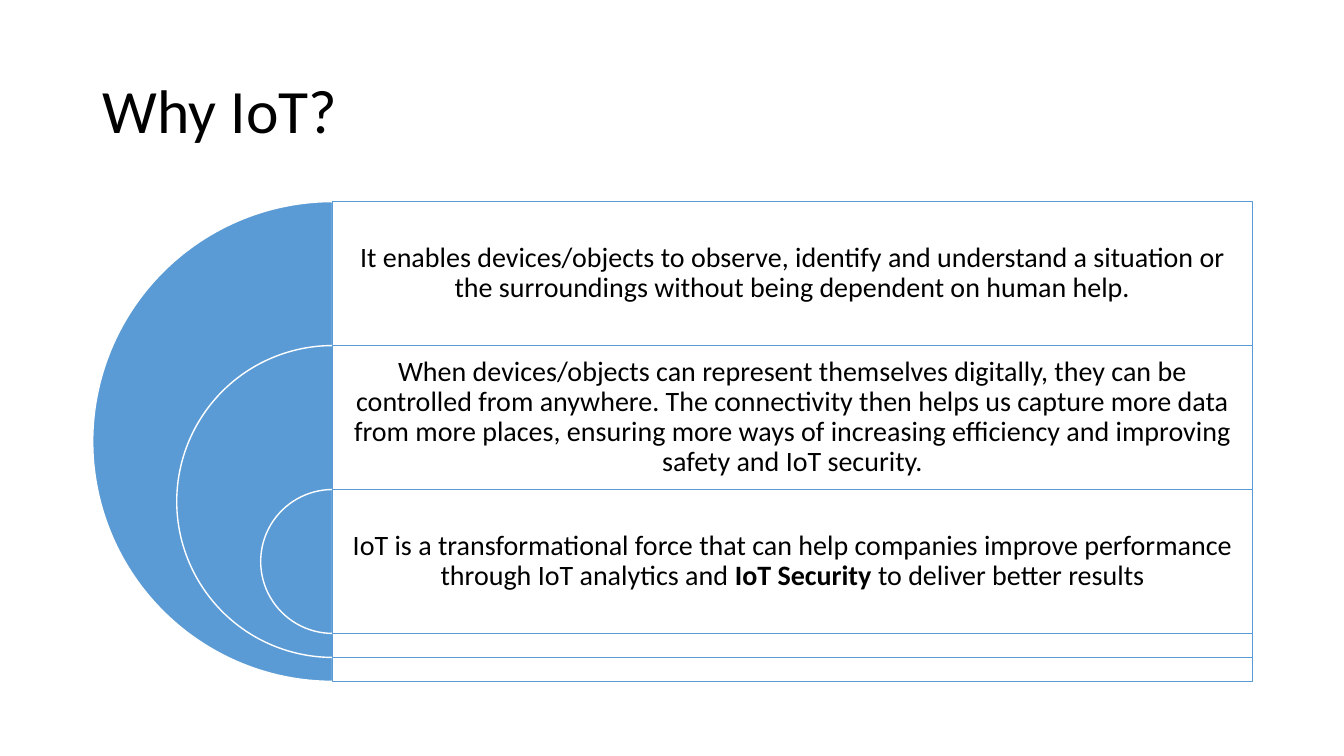
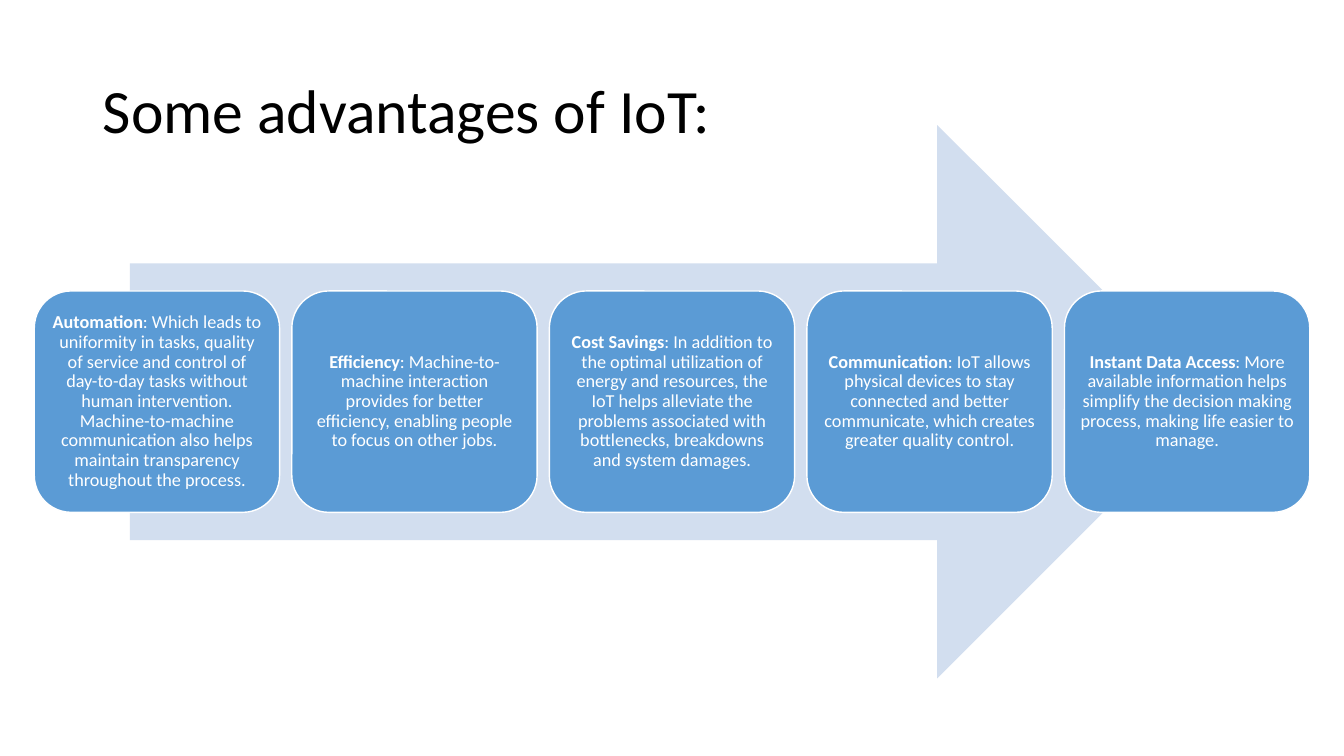
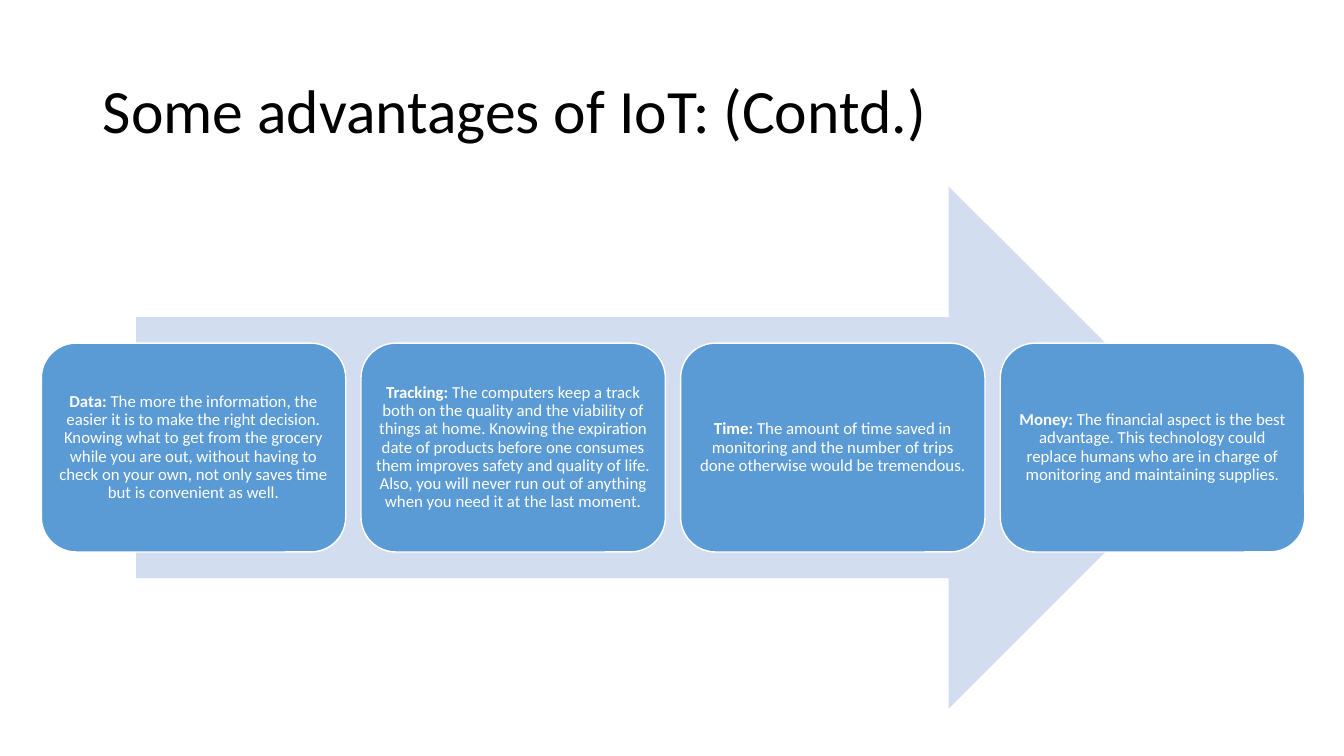
from lxml.etree import SubElement
from pptx import Presentation
from pptx.dml.color import RGBColor
from pptx.enum.shapes import MSO_SHAPE
from pptx.enum.text import MSO_ANCHOR, MSO_AUTO_SIZE, PP_ALIGN
from pptx.oxml.ns import qn
from pptx.util import Inches, Pt

COLORS = {"accent": "5B9BD5", "arrow": "D2DEEF", "white": "FFFFFF", "text": "000000"}
FONT = "Calibri"
SLIDE_SIZE = (13.33, 7.5)
TITLE_BOX = (0.92, 0.4, 11.5, 1.45)
TITLE_ONLY = 5

# Each text is a list of (wording, is bold) pieces.
REASONS = [
    [("It enables devices/objects to observe, identify and understand a situation or "
      "the surroundings without being dependent on human help.", False)],
    [("When devices/objects can represent themselves digitally, they can be controlled "
      "from anywhere. The connectivity then helps us capture more data from more places, "
      "ensuring more ways of increasing efficiency and improving safety and IoT security.",
      False)],
    [("IoT is a transformational force that can help companies improve performance "
      "through IoT analytics and ", False),
     ("IoT Security", True),
     (" to deliver better results", False)],
]
ADVANTAGES = [
    [("Automation", True),
     (": Which leads to uniformity in tasks, quality of service and control of day-to-day "
      "tasks without human intervention. Machine-to-machine communication also helps "
      "maintain transparency throughout the process.", False)],
    [("Efficiency", True),
     (": Machine-to-machine interaction provides for better efficiency, enabling people "
      "to focus on other jobs.", False)],
    [("Cost Savings", True),
     (": In addition to the optimal utilization of energy and resources, the IoT helps "
      "alleviate the problems associated with bottlenecks, breakdowns and system damages.",
      False)],
    [("Communication", True),
     (": IoT allows physical devices to stay connected and better communicate, which "
      "creates greater quality control.", False)],
    [("Instant Data Access", True),
     (": More available information helps simplify the decision making process, making "
      "life easier to manage.", False)],
]
MORE_ADVANTAGES = [
    [("Data:", True),
     (" The more the information, the easier it is to make the right decision. Knowing "
      "what to get from the grocery while you are out, without having to check on your "
      "own, not only saves time but is convenient as well.", False)],
    [("Tracking: ", True),
     ("The computers keep a track both on the quality and the viability of things at "
      "home. Knowing the expiration date of products before one consumes them improves "
      "safety and quality of life. Also, you will never run out of anything when you need "
      "it at the last moment.", False)],
    [("Time: ", True),
     ("The amount of time saved in monitoring and the number of trips done otherwise "
      "would be tremendous.", False)],
    [("Money: ", True),
     ("The financial aspect is the best advantage. This technology could replace humans "
      "who are in charge of monitoring and maintaining supplies.", False)],
]


def color(name):
    return RGBColor.from_string(COLORS[name])


def style_font(font, size, color_name, bold=False):
    font.name = FONT
    font.size = Pt(size)
    font.bold = bold
    font.color.rgb = color(color_name)


def add_titled_slide(presentation, title_text):
    slide = presentation.slides.add_slide(presentation.slide_layouts[TITLE_ONLY])
    title = slide.shapes.title
    title.left, title.top, title.width, title.height = map(Inches, TITLE_BOX)
    frame = title.text_frame
    frame.text = title_text
    frame.auto_size = MSO_AUTO_SIZE.NONE
    frame.vertical_anchor = MSO_ANCHOR.MIDDLE
    paragraph = frame.paragraphs[0]
    paragraph.alignment = PP_ALIGN.LEFT
    paragraph.line_spacing = 0.9
    style_font(paragraph.runs[0].font, 44, "text")
    return slide


def add_block(slide, preset, box, fill, line=None):
    """Add a flat preset shape; without a line colour it has no outline."""
    shape = slide.shapes.add_shape(preset, *map(Inches, box))
    shape.shadow.inherit = False
    shape.fill.solid()
    shape.fill.fore_color.rgb = color(fill)
    if line:
        shape.line.color.rgb = color(line)
        shape.line.width = Pt(1)
    else:
        shape.line.fill.background()
    return shape


def set_opacity(shape, percent):
    fill_color = shape.element.spPr.find(qn("a:solidFill")).find(qn("a:srgbClr"))
    SubElement(fill_color, qn("a:alpha")).set("val", str(percent * 1000))


def write_pieces(shape, pieces, size, color_name, inset, space_below=0):
    """Write centred text; space_below keeps the lower part of the shape free."""
    frame = shape.text_frame
    frame.word_wrap = True
    frame.vertical_anchor = MSO_ANCHOR.MIDDLE
    frame.margin_left = frame.margin_right = frame.margin_top = Inches(inset)
    frame.margin_bottom = Inches(inset + space_below)
    paragraph = frame.paragraphs[0]
    paragraph.alignment = PP_ALIGN.CENTER
    paragraph.line_spacing = 0.9
    for wording, bold in pieces:
        run = paragraph.add_run()
        run.text = wording
        style_font(run.font, size, color_name, bold)


def add_nested_target(slide, box, texts):
    """Draw nested half discs, each beside a panel as high as the disc."""
    left, top, width, height = box
    center = left + height / 2
    row = 0.3 * height
    for index, pieces in enumerate(texts):
        diameter = (1 - 0.35 * index) * height
        row_top = top + index * row
        disc_box = (center - diameter / 2, row_top, diameter, diameter)
        disc = add_block(slide, MSO_SHAPE.PIE, disc_box, "accent", "white")
        disc.adjustments[0], disc.adjustments[1] = 54, 162
        panel_box = (center, row_top, left + width - center, diameter)
        panel = add_block(slide, MSO_SHAPE.RECTANGLE, panel_box, "white", "accent")
        set_opacity(panel, 90)
        write_pieces(panel, pieces, 20, "text", 0.08, diameter - row)


def add_arrow_process(slide, box, texts, size):
    """Draw a row of equal cards over a wide arrow."""
    left, top, width, height = box
    arrow_box = (left + 0.075 * width, top, 0.85 * width, height)
    add_block(slide, MSO_SHAPE.RIGHT_ARROW, arrow_box, "arrow")
    gap_share = 0.05
    card_width = width / (len(texts) + gap_share * (len(texts) - 1))
    step = card_width * (1 + gap_share)
    for index, pieces in enumerate(texts):
        card_box = (left + index * step, top + 0.3 * height, card_width, 0.4 * height)
        card = add_block(slide, MSO_SHAPE.ROUNDED_RECTANGLE, card_box, "accent", "white")
        write_pieces(card, pieces, size, "white", 0.05)


def main():
    presentation = Presentation()
    presentation.slide_width, presentation.slide_height = map(Inches, SLIDE_SIZE)

    slide = add_titled_slide(presentation, "Why IoT?")
    add_nested_target(slide, (0.92, 2, 11.5, 4.76), REASONS)

    slide = add_titled_slide(presentation, "Some advantages of IoT:")
    add_arrow_process(slide, (0.34, 1.24, 12.65, 5.49), ADVANTAGES, 13)

    slide = add_titled_slide(presentation, "Some advantages of IoT: (Contd.)")
    add_arrow_process(slide, (0.41, 1.85, 12.53, 5.18), MORE_ADVANTAGES, 12)

    presentation.save("out.pptx")


if __name__ == "__main__":
    main()
